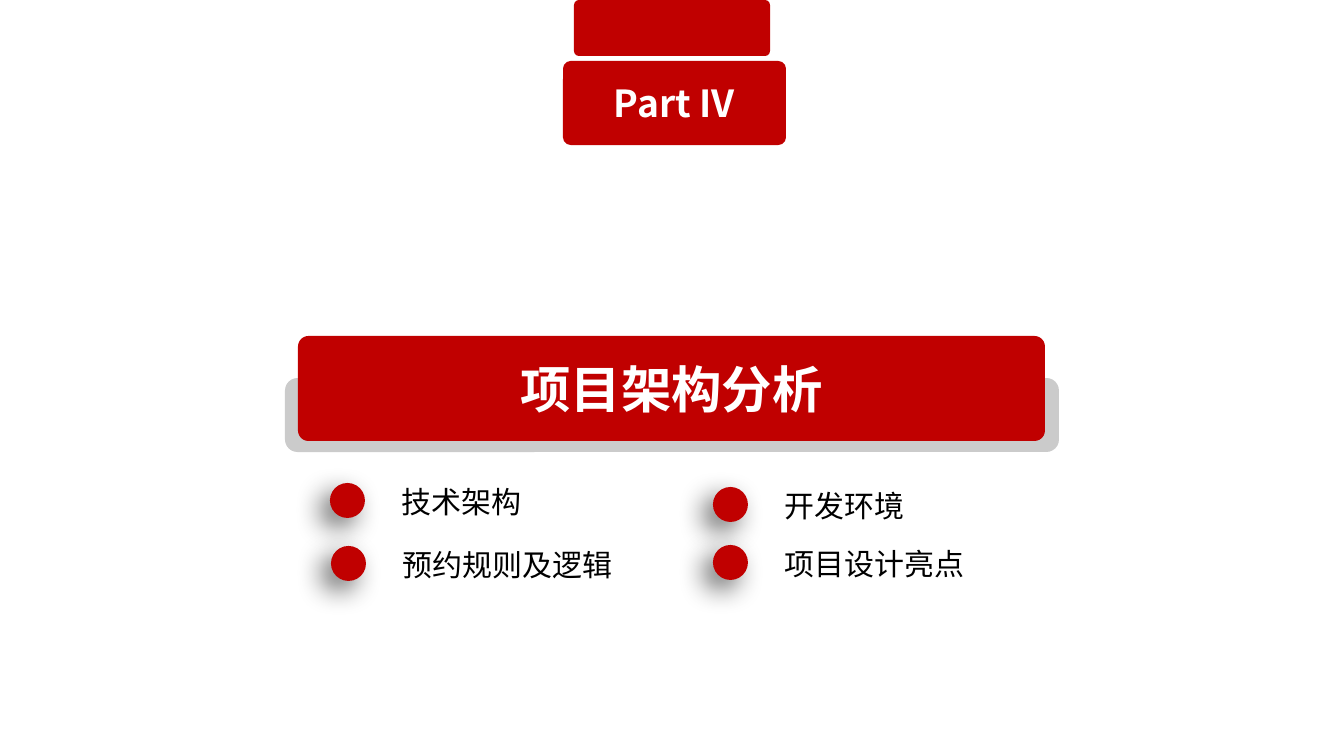
from lxml import etree
from pptx import Presentation
from pptx.dml.color import RGBColor
from pptx.enum import shapes, text
from pptx.oxml import ns
from pptx import util as u

RED = RGBColor(0xC0, 0x00, 0x00)
GREY = RGBColor(0xCB, 0xCB, 0xCB)
WHITE = RGBColor(0xFF, 0xFF, 0xFF)
BLACK = RGBColor(0x00, 0x00, 0x00)
FONT = "Noto Sans CJK SC"
TITLE_ONLY = 5


class SectionPage:
    """Holds the style and the current slide; lengths are in px."""

    def __init__(self, deck, width, height):
        self.scale = u.Inches(13.3333) / width
        deck.slide_width, deck.slide_height = self.emu(width, height)
        self.page = deck.slides.add_slide(deck.slide_layouts[TITLE_ONLY])

    def emu(self, *lengths):
        return [u.Emu(round(length * self.scale)) for length in lengths]

    def shape(self, kind, place, fill, corner=None):
        shape = self.page.shapes.add_shape(kind, *self.emu(*place))
        shape.shadow.inherit = False
        shape.fill.solid()
        shape.fill.fore_color.rgb = fill
        shape.line.fill.background()
        if corner is not None:
            shape.adjustments[0] = corner
        return shape

    def bar(self, place, fill, corner):
        return self.shape(shapes.MSO_SHAPE.ROUNDED_RECTANGLE, place, fill, corner)

    def dot(self, left, top, size):
        dot = self.shape(shapes.MSO_SHAPE.OVAL, (left, top, size, size), RED)
        effects = dot._element.spPr.find(ns.qn("a:effectLst"))
        shadow = etree.SubElement(
            effects, ns.qn("a:outerShdw"), blurRad=str(u.Pt(20)), dist=str(u.Pt(10)),
            dir=str(135 * 60000), algn="tr", rotWithShape="0")
        colour = etree.SubElement(shadow, ns.qn("a:srgbClr"), val=str(BLACK))
        etree.SubElement(colour, ns.qn("a:alpha"), val="60000")

    def add_words(self, box, words, size, colour, bold=False, centred=False):
        frame = box.text_frame
        frame.word_wrap = True
        para = frame.paragraphs[0]
        para.alignment = text.PP_ALIGN.CENTER if centred else text.PP_ALIGN.LEFT
        if centred:
            frame.vertical_anchor = text.MSO_ANCHOR.MIDDLE
        span = para.add_run()
        span.text = words
        span.font.size = u.Pt(size)
        span.font.bold = bold
        span.font.color.rgb = colour
        span.font.name = FONT
        etree.SubElement(span.font._element, ns.qn("a:ea"), typeface=FONT)

    def title(self, place, words, size):
        title = self.page.shapes.title
        title.left, title.top, title.width, title.height = self.emu(*place)
        title.text_frame.auto_size = text.MSO_AUTO_SIZE.NONE
        self.add_words(title, words, size, WHITE, bold=True, centred=True)
        # Bring the title in front of its banner
        title._element.getparent().append(title._element)

    def topic(self, left, top, width, words):
        self.dot(left, top, 35)
        box = self.page.shapes.add_textbox(*self.emu(left + 62, top - 4, width, 46))
        self.add_words(box, words, 21.4, BLACK)
        box.text_frame.auto_size = text.MSO_AUTO_SIZE.SHAPE_TO_FIT_TEXT


def main():
    deck = Presentation()
    section = SectionPage(deck, 1344, 756)

    # Title banner on its grey base
    banner = (298, 336, 747, 105)
    section.bar((285, 378, 774, 74), GREY, 0.17)
    section.bar(banner, RED, 0.1)
    section.title(banner, "项目架构分析", 36)

    # Part label hanging from the top edge
    section.bar((574, 0, 196, 56), RED, 0.09)
    label = section.bar((563, 61, 223, 84), RED, 0.09)
    section.add_words(label, "Part IV", 26.6, WHITE, bold=True, centred=True)

    # Topics of this part
    for left, top, width, words in (
        (330, 483, 214, "技术架构"),
        (713, 487, 381, "开发环境"),
        (331, 546, 259, "预约规则及逻辑"),
        (713, 545, 381, "项目设计亮点"),
    ):
        section.topic(left, top, width, words)

    deck.save("out.pptx")


if __name__ == "__main__":
    main()
